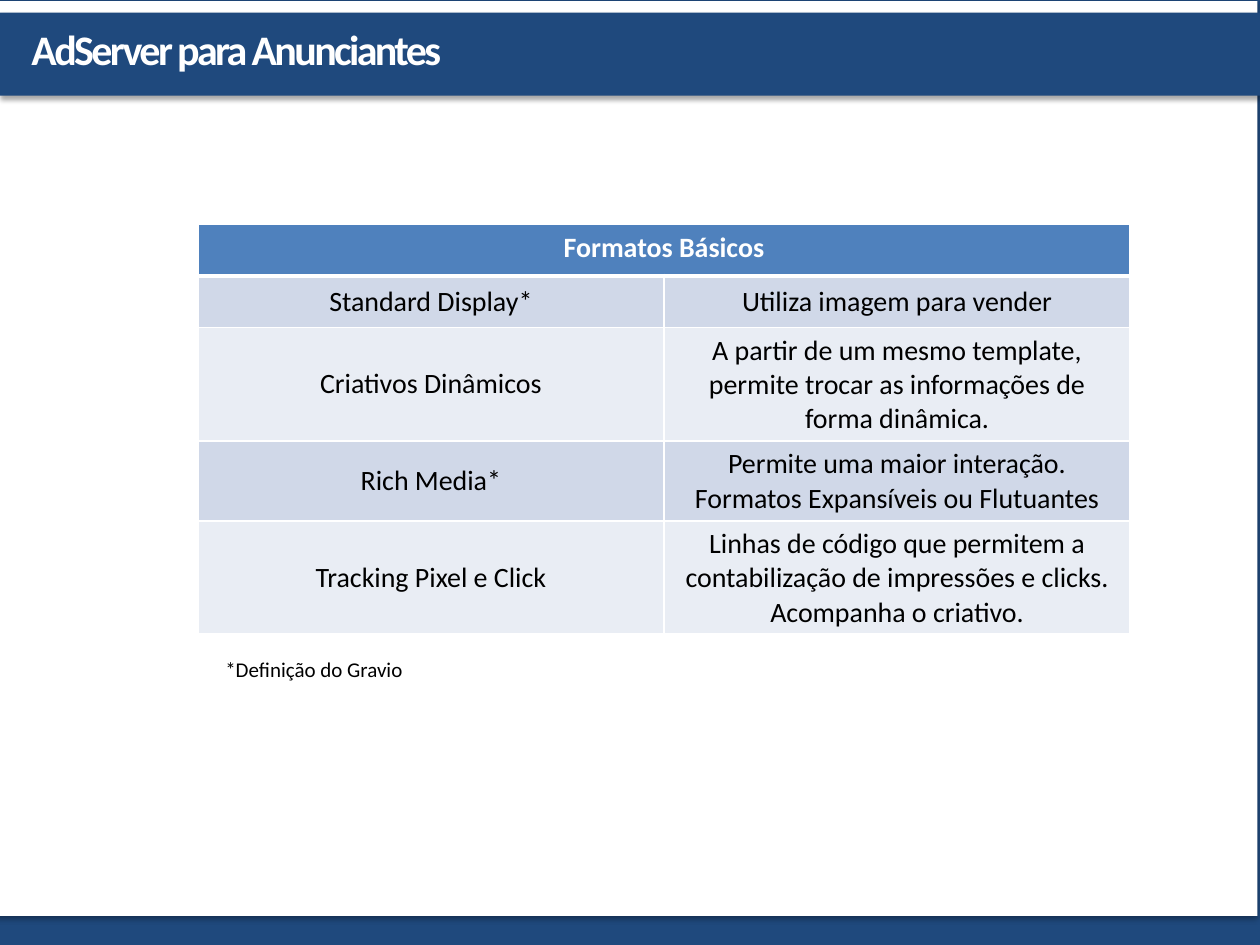
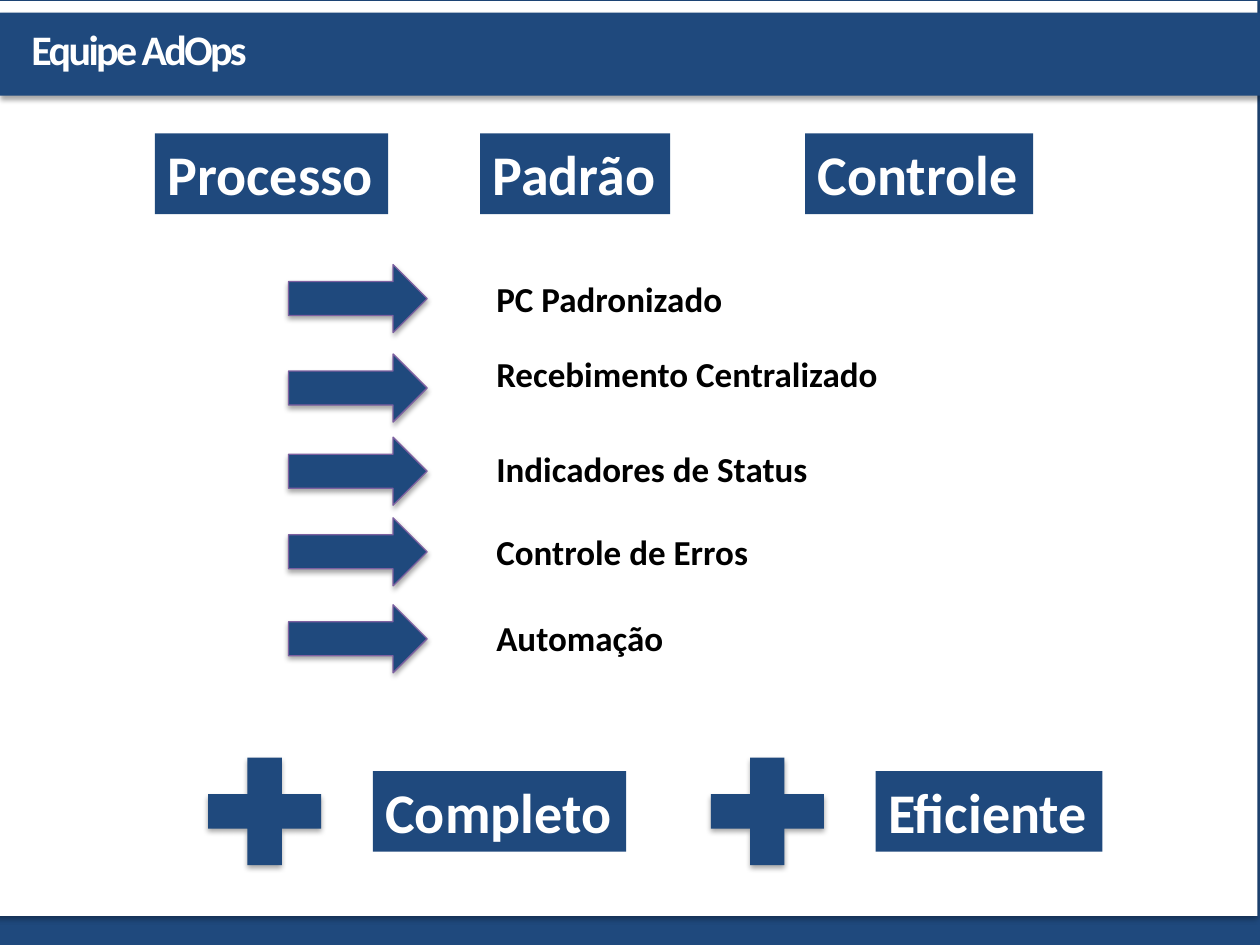
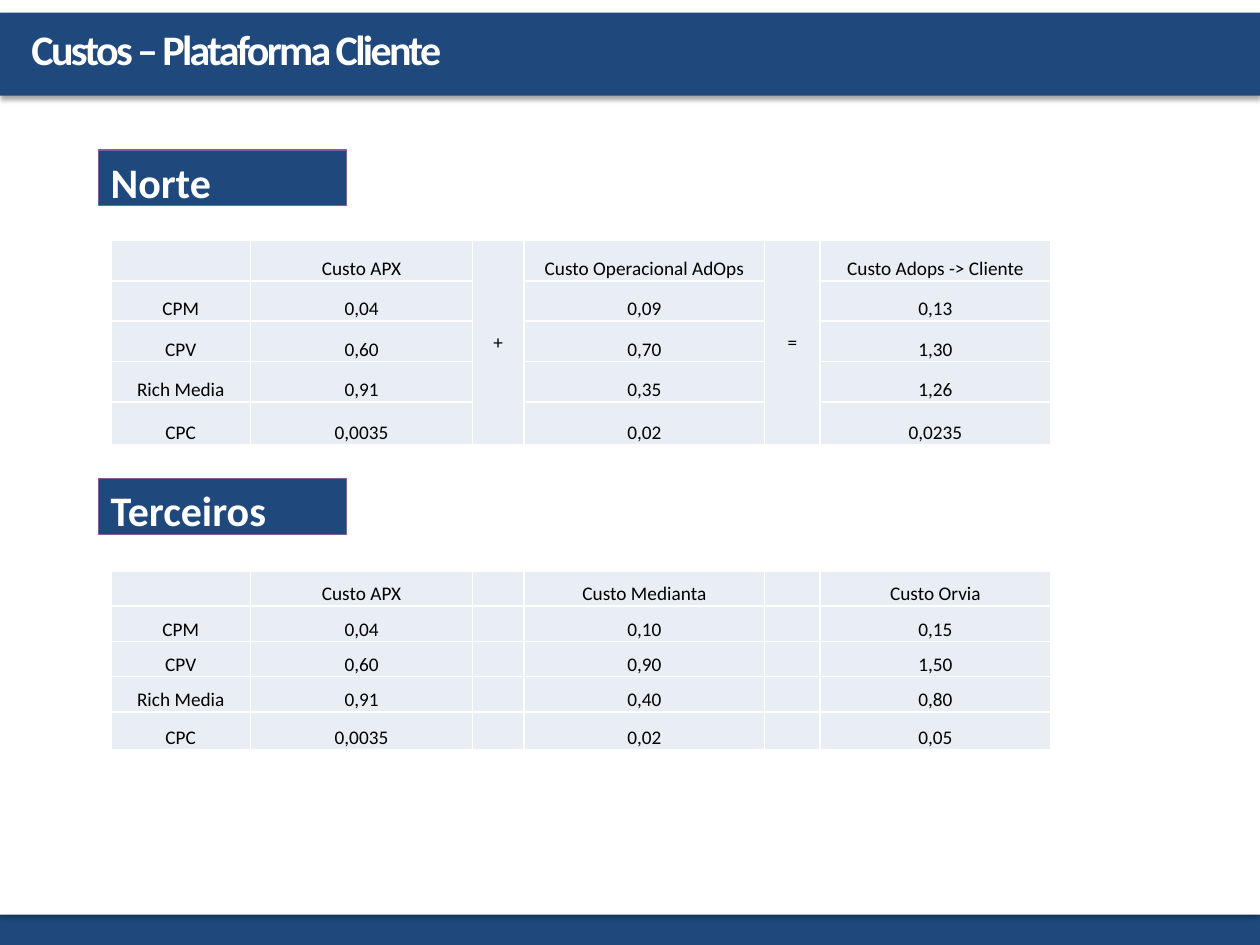
import lxml.etree
import pptx
import pptx.dml.color
import pptx.enum.shapes
import pptx.enum.text
import pptx.oxml.ns
import pptx.util

SHAPES = pptx.enum.shapes.MSO_SHAPE
ANCHOR = pptx.enum.text.MSO_ANCHOR
ALIGN = pptx.enum.text.PP_ALIGN
AUTO_SIZE = pptx.enum.text.MSO_AUTO_SIZE

COLORS = {
    "navy": "1F497D", "white": "FFFFFF", "black": "000000", "purple": "7D60A0",
    "header": "4F81BD", "band_dark": "D0D8E8", "band_light": "E9EDF4",
}
FONT = "Calibri"

# The slide is a grid of 100 columns by 75 rows of square cells
SLIDE_WIDTH = pptx.util.Inches(10)
SLIDE_HEIGHT = pptx.util.Inches(7.5)
CELL = SLIDE_WIDTH // 100

# Text formats
TITLE = {"size": 24, "bold": True, "color": "white", "spacing": -150}
BADGE = {"size": 32, "bold": True, "color": "white"}
SECTION = {"size": 24, "bold": True, "color": "white"}
ITEM = {"size": 20, "bold": True, "color": "black"}
NOTE = {"size": 12, "bold": False, "color": "black"}
TABLE_HEAD = {"size": 16, "bold": True, "color": "white"}
TABLE_BODY = {"size": 16, "bold": False, "color": "black"}
COST = {"size": 11, "bold": False, "color": "black"}

GROW = {"auto_size": AUTO_SIZE.SHAPE_TO_FIT_TEXT, "word_wrap": True}
GROW_UNWRAPPED = {**GROW, "word_wrap": False}
FIXED = {"auto_size": AUTO_SIZE.NONE, "word_wrap": True}
DEFAULT_MARGINS = (0.1, 0.05, 0.1, 0.05)
TITLE_MARGINS = (0.16, 0.08, 0.16, 0.08)
COST_MARGINS = (0.01, 0.01, 0.01, 0)

COST_COLUMNS = [11.1, 17.6, 4.1, 19.1, 4.4, 18.3]


def cells(*lengths):
    return [round(length * CELL) for length in lengths]


def rgb(name):
    return pptx.dml.color.RGBColor.from_string(COLORS[name])


def add_xml(parent, tag, **attributes):
    return lxml.etree.SubElement(parent, pptx.oxml.ns.qn(tag), **attributes)


def set_attributes(target, values):
    for name, value in values.items():
        setattr(target, name, value)


def set_margins(target, margins):
    sides = ("margin_left", "margin_top", "margin_right", "margin_bottom")
    set_attributes(target, dict(zip(sides, map(pptx.util.Inches, margins))))


def write(paragraph, text, style, alignment=ALIGN.LEFT):
    paragraph.alignment = alignment
    paragraph.text = text
    size = str(style["size"] * 100)
    for run in paragraph.runs:
        set_attributes(run.font, {
            "name": FONT, "size": pptx.util.Pt(style["size"]), "bold": style["bold"]})
        run.font.color.rgb = rgb(style["color"])
        if "spacing" in style:
            run._r.get_or_add_rPr().set("spc", str(style["spacing"]))
    for line_break in paragraph._p.findall(pptx.oxml.ns.qn("a:br")):
        add_xml(line_break, "a:rPr", sz=size)
    add_xml(paragraph._p, "a:endParaRPr", sz=size)


def fill_frame(shape, text, style, fit, margins=DEFAULT_MARGINS):
    frame = shape.text_frame
    set_attributes(frame, {**fit, "vertical_anchor": ANCHOR.TOP})
    set_margins(frame, margins)
    write(frame.paragraphs[0], text, style)


def add_text(slide, box, text, style, fit=GROW, margins=DEFAULT_MARGINS):
    fill_frame(slide.shapes.add_textbox(*cells(*box)), text, style, fit, margins)


def add_shadow(shape):
    effects = shape._element.spPr.find(pptx.oxml.ns.qn("a:effectLst"))
    shadow = add_xml(effects, "a:outerShdw", blurRad=str(pptx.util.Pt(3.1)),
                     dist=str(pptx.util.Pt(1.8)), dir="5400000", rotWithShape="0")
    color = add_xml(shadow, "a:srgbClr", val=COLORS["black"])
    add_xml(color, "a:alpha", val="35000")


def add_figure(slide, kind, box, fill="navy", line=None, shadow=True):
    shape = slide.shapes.add_shape(kind, *cells(*box))
    shape.shadow.inherit = False
    shape.fill.solid()
    shape.fill.fore_color.rgb = rgb(fill)
    if line:
        shape.line.color.rgb = rgb(line)
        shape.line.width = pptx.util.Pt(0.75)
    else:
        shape.line.fill.background()
    if shadow:
        add_shadow(shape)
    return shape


def add_badge(slide, left, top, width, text):
    shape = add_figure(slide, SHAPES.RECTANGLE, (left, top, width, 6.4), shadow=False)
    fill_frame(shape, text, BADGE, GROW_UNWRAPPED)


def add_section(slide, top, text):
    shape = add_figure(slide, SHAPES.RECTANGLE, (7.8, top, 19.7, 4.4),
                       line="purple", shadow=False)
    fill_frame(shape, text, SECTION, FIXED)


# Tables
def set_borders(cell, **widths):
    properties = cell._tc.get_or_add_tcPr()
    for index, side in enumerate("LRTB"):
        line = lxml.etree.Element(pptx.oxml.ns.qn(f"a:ln{side}"),
                                  w=str(pptx.util.Pt(widths.get(side, 1))))
        add_xml(add_xml(line, "a:solidFill"), "a:srgbClr", val=COLORS["white"])
        properties.insert(index, line)


def add_table(slide, left, top, columns, rows):
    frame = slide.shapes.add_table(len(rows), len(columns),
                                   *cells(left, top, sum(columns), sum(rows)))
    table = frame.table
    set_attributes(table, {"first_row": False, "horz_banding": False})
    for column, width in zip(table.columns, cells(*columns)):
        column.width = width
    for row, height in zip(table.rows, cells(*rows)):
        row.height = height
    return table


def fill_cell(cell, text, style, fill, anchor, margins=DEFAULT_MARGINS, **borders):
    cell.fill.solid()
    cell.fill.fore_color.rgb = rgb(fill)
    cell.vertical_anchor = anchor
    set_margins(cell, margins)
    write(cell.text_frame.paragraphs[0], text, style, ALIGN.CENTER)
    set_borders(cell, **borders)


def add_format_table(slide, heading, formats):
    table = add_table(slide, 15.7, 17.8, [37, 37], [4.1] * (len(formats) + 1))
    for column, text in enumerate((heading, "")):
        fill_cell(table.cell(0, column), text, TABLE_HEAD, "header", ANCHOR.TOP, B=3)
    table.cell(0, 0).merge(table.cell(0, 1))
    for row, values in enumerate(formats, start=1):
        fill = "band_dark" if row % 2 else "band_light"
        for column, text in enumerate(values):
            fill_cell(table.cell(row, column), text, TABLE_BODY, fill, ANCHOR.MIDDLE,
                      T=3 if row == 1 else 1)


def add_cost_table(slide, top, row_heights, rows, operators=("", "")):
    """Three cost columns, parted by two narrow columns for the operators."""
    table = add_table(slide, 8.8, top, COST_COLUMNS, row_heights)
    for row, (label, first, second, third) in enumerate(rows):
        plus, equals = operators if row == 0 else ("", "")
        for column, text in enumerate((label, first, plus, second, equals, third)):
            anchor = ANCHOR.MIDDLE if column in (2, 4) else ANCHOR.BOTTOM
            fill_cell(table.cell(row, column), text, COST, "band_light", anchor,
                      COST_MARGINS)
    if any(operators):
        for column in (2, 4):
            table.cell(0, column).merge(table.cell(len(rows) - 1, column))


# Page, title band and footer strip shared by all slides
def add_slide(presentation, title, page_left=-0.3, page_top=0.1):
    slide = presentation.slides.add_slide(presentation.slide_layouts[6])
    slide.background.fill.solid()
    slide.background.fill.fore_color.rgb = rgb("navy")
    add_figure(slide, SHAPES.RECTANGLE, (page_left, page_top, 100.1, 72.6), "white")
    add_figure(slide, SHAPES.RECTANGLE, (0, 1, 100, 6.6))
    add_text(slide, (0.9, 1.1, 100, 5.6), title, TITLE, margins=TITLE_MARGINS)
    return slide


def build_formats(presentation):
    slide = add_slide(presentation, "AdServer para Anunciantes")
    add_format_table(slide, "Formatos Básicos", [
        ("Standard Display*", "Utiliza imagem para vender"),
        ("Criativos Dinâmicos", "A partir de um mesmo template, permite trocar "
                                "as informações de forma dinâmica."),
        ("Rich Media*", "Permite uma maior interação.\n"
                        "Formatos Expansíveis ou Flutuantes"),
        ("Tracking Pixel e Click", "Linhas de código que permitem a contabilização "
                                   "de impressões e clicks. Acompanha o criativo."),
    ])
    add_text(slide, (16.9, 51.6, 16.7, 3), "*Definição do Gravio", NOTE, GROW_UNWRAPPED)


def build_team(presentation):
    slide = add_slide(presentation, "Equipe AdOps")
    pillars = [("Processo", 18.5), ("Padrão", 15.1), ("Controle", 18.1)]
    for index, (text, width) in enumerate(pillars):
        add_badge(slide, 12.3 + 25.8 * index, 10.6, width, text)

    practices = [
        ("PC Padronizado", 21, 21.5),
        ("Recebimento Centralizado", 28.1, 27.5),
        ("Indicadores de Status", 34.7, 35),
        ("Controle de Erros", 41.1, 41.6),
        ("Automação", 48, 48.4),
    ]
    for text, arrow_top, text_top in practices:
        add_figure(slide, SHAPES.RIGHT_ARROW, (22.9, arrow_top, 11, 5.4), line="purple")
        add_text(slide, (38.4, text_top, 67.5, 4.4), text, ITEM)

    for index, (text, width) in enumerate([("Completo", 20.1), ("Eficiente", 18)]):
        left = 14.9 + 39.9 * index
        add_figure(slide, SHAPES.MATH_PLUS, (left, 58.6, 12.2, 11.6))
        add_badge(slide, left + 14.7, 61.2, width, text)


def build_costs(presentation):
    slide = add_slide(presentation, "Custos – Plataforma Cliente", -0.1, 0)
    add_section(slide, 11.9, "Norte")
    add_section(slide, 38, "Terceiros")
    add_cost_table(slide, 19.1, [3.2] * 4 + [3.4], [
        ("", "Custo APX", "Custo Operacional AdOps", "Custo Adops -> Cliente"),
        ("CPM", "0,04", "0,09", "0,13"),
        ("CPV", "0,60", "0,70", "1,30"),
        ("Rich Media", "0,91", "0,35", "1,26"),
        ("CPC", "0,0035", "0,02", "0,0235"),
    ], operators=("+", "="))
    add_cost_table(slide, 45.3, [2.8] * 4 + [3], [
        ("", "Custo APX", "Custo Medianta", "Custo Orvia"),
        ("CPM", "0,04", "0,10", "0,15"),
        ("CPV", "0,60", "0,90", "1,50"),
        ("Rich Media", "0,91", "0,40", "0,80"),
        ("CPC", "0,0035", "0,02", "0,05"),
    ])


def main():
    presentation = pptx.Presentation()
    set_attributes(presentation, {"slide_width": SLIDE_WIDTH, "slide_height": SLIDE_HEIGHT})
    build_formats(presentation)
    build_team(presentation)
    build_costs(presentation)
    presentation.save("out.pptx")


if __name__ == "__main__":
    main()
